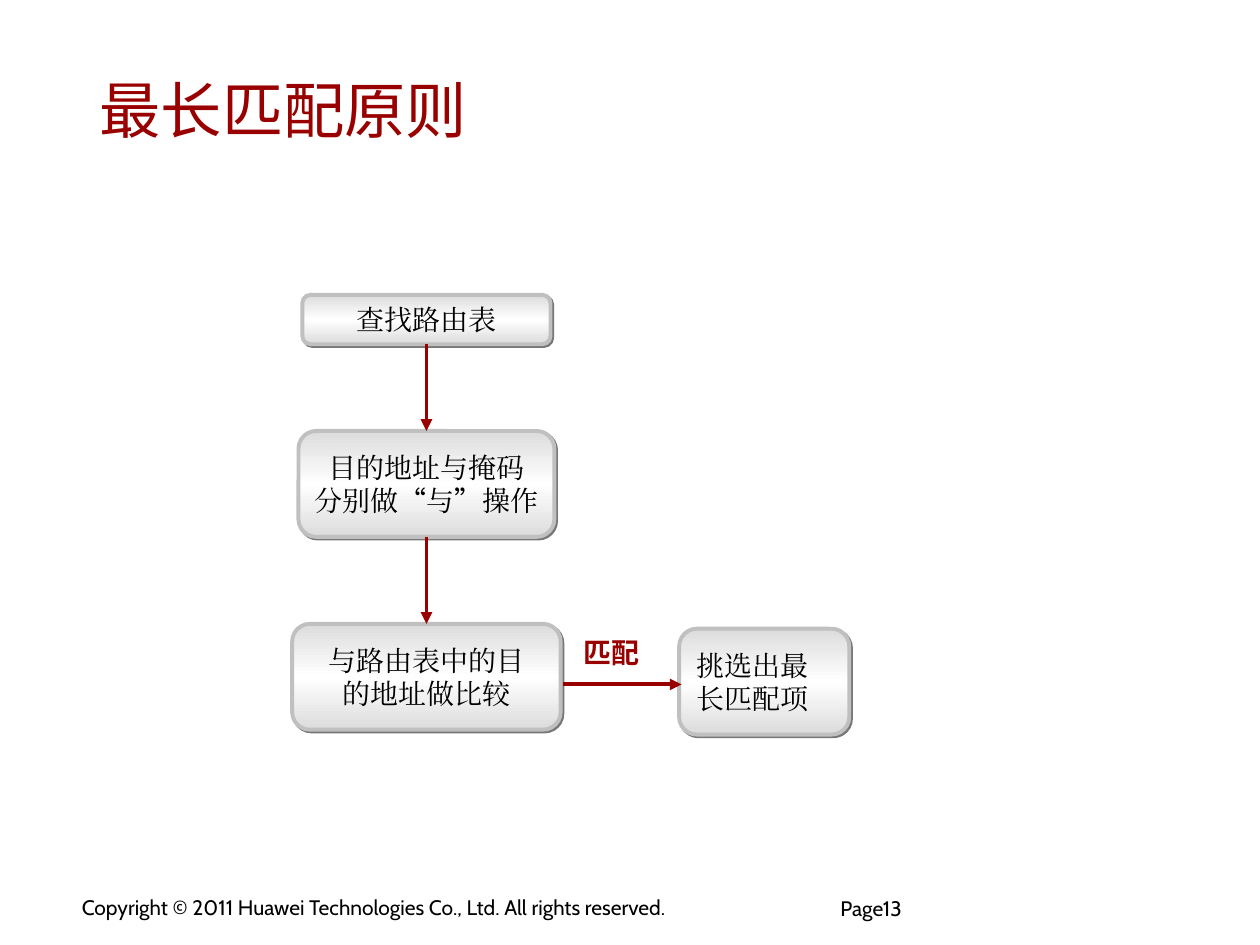
from copy import deepcopy

from lxml.etree import SubElement
from pptx import Presentation
from pptx.dml.color import RGBColor
from pptx.enum.shapes import MSO_CONNECTOR as Connector, MSO_SHAPE as Shape
from pptx.enum.text import MSO_ANCHOR as Anchor, PP_ALIGN as Align
from pptx.oxml.ns import qn
from pptx.util import Pt

RED = RGBColor(0x99, 0x00, 0x00)
BLACK = RGBColor(0x00, 0x00, 0x00)
BORDER = RGBColor(0xC0, 0xC0, 0xC0)
EDGE = RGBColor(0xDC, 0xDC, 0xDC)
WHITE = RGBColor(0xFF, 0xFF, 0xFF)
SHADOW = RGBColor(0x77, 0x77, 0x77)

BODY_FONT = "Times New Roman"
TITLE_FONT = "Cabin"
QUOTE_FONT = "Noto Sans CJK SC"
TOP, LEFT, BOTTOM = 0, 1, 2


def points(box):
    return [Pt(value) for value in box]


def format_run(run, font_name, size, color, bold=False):
    font = run.font
    font.name, font.size, font.bold = font_name, Pt(size), bold
    font.color.rgb = color
    SubElement(run._r.get_or_add_rPr(), qn("a:ea"), typeface=font_name)


def set_frame(frame, margins, anchor, wrap):
    """Set the horizontal and vertical margins, the anchor and the wrapping."""
    frame.margin_left = frame.margin_right = Pt(margins[0])
    frame.margin_top = frame.margin_bottom = Pt(margins[1])
    frame.vertical_anchor = anchor
    frame.word_wrap = wrap


def add_text(slide, box, text, size, color, font_name=TITLE_FONT, bold=False,
             margins=(6.5, 3), anchor=Anchor.TOP, wrap=True, spacing=None,
             align=Align.LEFT):
    frame = slide.shapes.add_textbox(*points(box)).text_frame
    set_frame(frame, margins, anchor, wrap)
    frame.text = text
    paragraph = frame.paragraphs[0]
    paragraph.alignment = align
    paragraph.line_spacing = spacing
    format_run(paragraph.runs[0], font_name, size, color, bold)


def add_shadow(shape):
    shape.shadow.inherit = False
    effects = shape._element.spPr.find(qn("a:effectLst"))
    shadow = SubElement(effects, qn("a:outerShdw"), dist=str(Pt(1.4)),
                        dir="2700000", algn="ctr", rotWithShape="0")
    SubElement(shadow, qn("a:srgbClr"), val=str(SHADOW))


def fill_gradient(shape):
    """Shade the shape from top to bottom with a white band in the middle."""
    shape.fill.gradient()
    shape.fill.gradient_angle = 90
    stop_list = shape._element.spPr.find(".//" + qn("a:gsLst"))
    stop_list.append(deepcopy(stop_list[0]))
    stops = zip(shape.fill.gradient_stops, (0, 0.5, 1), (EDGE, WHITE, EDGE))
    for stop, position, color in stops:
        stop.position = position
        stop.color.rgb = color


def add_step(slide, box, lines, align=Align.CENTER):
    """Add a flowchart box; each line is a list of runs."""
    shape = slide.shapes.add_shape(Shape.ROUNDED_RECTANGLE, *points(box))
    fill_gradient(shape)
    shape.line.color.rgb = BORDER
    shape.line.width = Pt(2.25)
    add_shadow(shape)
    frame = shape.text_frame
    set_frame(frame, (7.2, 3.6), Anchor.MIDDLE, False)
    for index, texts in enumerate(lines):
        paragraph = frame.add_paragraph() if index else frame.paragraphs[0]
        paragraph.alignment = align
        for text in texts:
            run = paragraph.add_run()
            run.text = text
            font_name = QUOTE_FONT if text in "“”" else BODY_FONT
            format_run(run, font_name, 16, BLACK)
    return shape


def add_arrow(slide, start=(0, 0), end=(0, 0)):
    arrow = slide.shapes.add_connector(Connector.STRAIGHT, *points(start + end))
    arrow.line.color.rgb = RED
    arrow.line.width = Pt(2.25)
    SubElement(arrow.line._get_or_add_ln(), qn("a:tailEnd"), type="triangle")
    SubElement(arrow._element.spPr, qn("a:effectLst"))
    return arrow


def join_down(slide, upper, lower):
    arrow = add_arrow(slide)
    arrow.begin_connect(upper, BOTTOM)
    arrow.end_connect(lower, TOP)


def add_flowchart(slide, left, top, width, height):
    """Place three steps around one axis and the result at the right edge."""
    axis = left + 76.7
    step_height = 60.5

    def centered_step(offset, step_width, box_height, lines):
        box = (axis - step_width / 2, top + offset, step_width, box_height)
        return add_step(slide, box, lines)

    lookup = centered_step(0, 141.8, 28.2, [["查找路由表"]])
    mask = centered_step(77.8, 146.2, step_height,
                         [["目的地址与掩码"], ["分别做", "“", "与", "”", "操作"]])
    compare = centered_step(188, 153.4, step_height,
                            [["与路由表中的目"], ["的地址做比较"]])
    result_width = 97.2
    result_left = left + width - result_width
    add_step(slide, (result_left, top + height - step_height, result_width, step_height),
             [["挑选出最"], ["长匹配项"]], Align.LEFT)

    join_down(slide, lookup, mask)
    join_down(slide, mask, compare)
    arrow_y = top + 222.6
    add_arrow(slide, (left + 154.8, arrow_y), (result_left + 1.4, arrow_y))
    add_text(slide, (left + 159.2, arrow_y - 31, 46.8, 23), "匹配", 16, RED, "Arial",
             bold=True, margins=(7.2, 3.6), anchor=Anchor.MIDDLE, wrap=False,
             spacing=1.1, align=Align.JUSTIFY)


def add_footer(slide, left, top):
    add_text(slide, (left, top, 401, 21),
             "Copyright © 2011 Huawei Technologies Co., Ltd. All rights reserved.",
             12, BLACK, wrap=False)
    add_text(slide, (left + 440, top + 5.8, 119.5, 26), "Page13", 12, BLACK,
             margins=(0, 0), spacing=0.85)


def main():
    presentation = Presentation()
    presentation.slide_width, presentation.slide_height = Pt(720), Pt(540)
    slide = presentation.slides.add_slide(presentation.slide_layouts[6])
    add_text(slide, (50.4, 28, 608.4, 68.4), "最长匹配原则", 35, RED,
             anchor=Anchor.MIDDLE)
    add_flowchart(slide, 167, 168.5, 318.3, 251.3)
    add_footer(slide, 40.3, 508.3)
    presentation.save("out.pptx")


if __name__ == "__main__":
    main()
